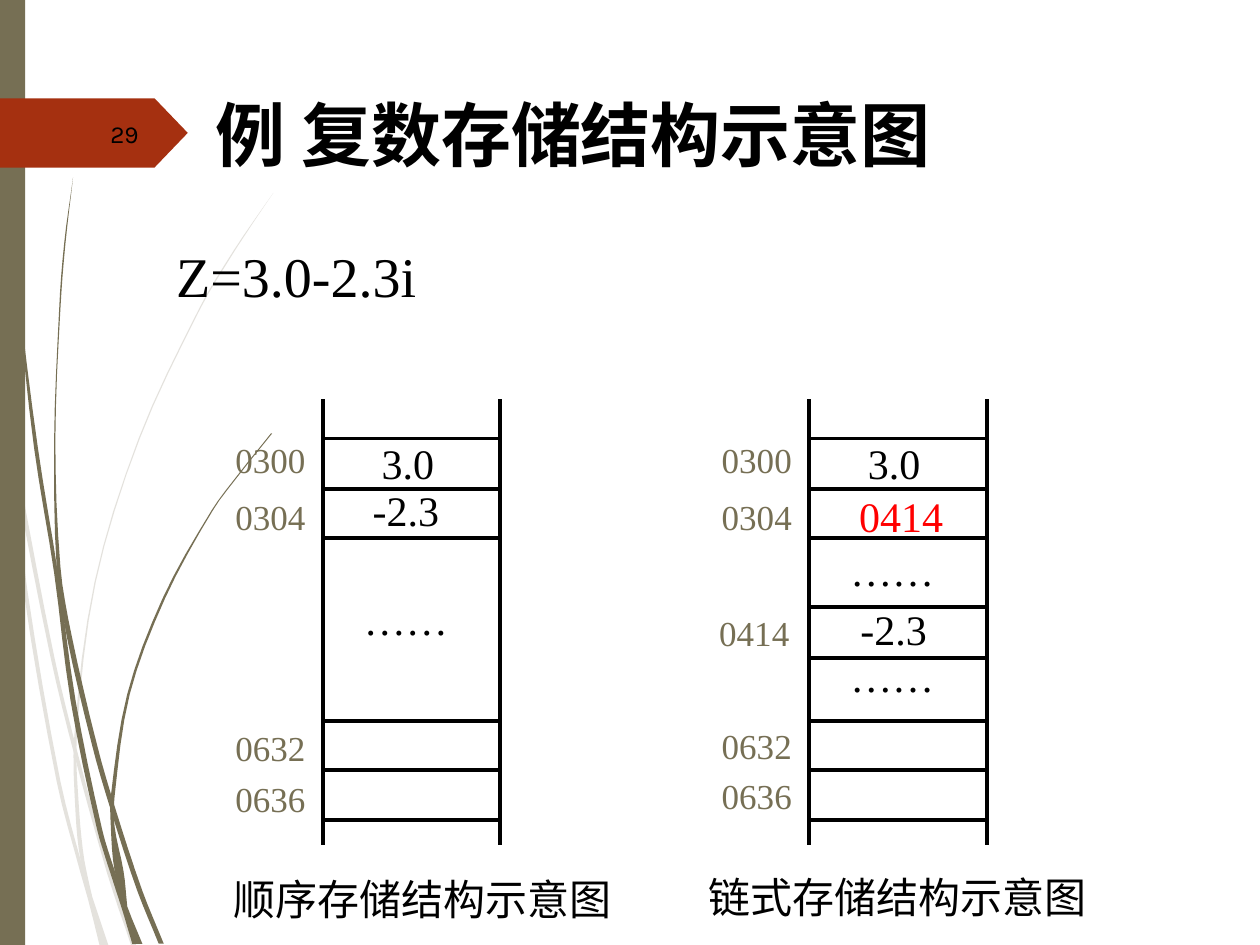
from typing import NamedTuple

from pptx import Presentation
from pptx.dml.color import RGBColor
from pptx.enum.shapes import MSO_CONNECTOR, MSO_SHAPE
from pptx.enum.text import MSO_ANCHOR, MSO_AUTO_SIZE, PP_ALIGN
from pptx.oxml.ns import qn
from pptx.util import Inches, Pt
from lxml.etree import SubElement

COLORS = {"black": "000000", "olive": "766F54", "pale": "E4E2DD",
          "rust": "A53010", "red": "FF0000"}
SERIF = "Times New Roman"
GRID = 1000  # freeform units per inch


class Label(NamedTuple):
    text: str
    left: float
    top: float
    width: float
    size: int = 24
    color: str = "black"
    align: PP_ALIGN = PP_ALIGN.LEFT
    font: str = SERIF


class Wisp(NamedTuple):
    color: str
    rows: list  # (y, left edge, right edge) down the blade


class Memory(NamedTuple):
    left: float
    rules: list
    labels: list


WISPS = [
    Wisp("pale", [(2.82, 0, 0), (3.5, .07, .08), (4.7, .19, .22), (6.2, .45, .48),
                  (6.93, .64, .67), (7.14, .7, .74), (7.5, .79, .86)]),
    Wisp("pale", [(3.45, .1, .1), (3.76, .12, .15), (5.21, .4, .43), (5.99, .59, .62),
                  (6.93, .85, .88), (7.5, 1.04, 1.08)]),
    Wisp("pale", [(1.53, 2.17, 2.17), (1.98, 1.86, 1.87), (2.45, 1.58, 1.59),
                  (3.48, 1.1, 1.11), (4.62, .75, .76), (5.84, .59, .61),
                  (6.46, .6, .63), (6.83, .64, .67), (7.11, .72, .73)]),
    Wisp("olive", [(0, .02, .03), (1.1, .05, .06), (2.33, .14, .15), (3.55, .27, .3),
                   (4.55, .43, .46), (5.56, .56, .6), (6.58, .77, .81),
                   (6.91, .87, .91), (7.22, .97, 1.02), (7.49, 1.05, 1.13)]),
    Wisp("olive", [(1.41, .58, .58), (1.93, .51, .52), (2.45, .47, .48),
                   (3.49, .43, .44), (4.5, .45, .48), (5.05, .53, .57),
                   (5.91, .73, .77), (6.43, .88, .92), (7.07, 1.09, 1.13),
                   (7.49, 1.26, 1.3)]),
    Wisp("olive", [(3.44, 2.15, 2.16), (3.74, 1.91, 1.92), (4.05, 1.68, 1.69),
                   (4.75, 1.29, 1.31), (5.51, 1.01, 1.03), (6.32, .88, .91),
                   (6.56, .88, .91), (6.91, .91, .98), (7.19, 1, 1.01)]),
]


def address(text: str, left: float, top: float, width: float = .94) -> Label:
    return Label(text, left, top, width, 20, "olive")


RULES = [3.48, 3.88, 4.27, 5.72, 6.11, 6.51]
MEMORIES = [
    # Sequential storage
    Memory(2.56, RULES, [
        address("0300", 1.77, 3.43), address("0304", 1.77, 3.88),
        address("0632", 1.77, 5.72), address("0636", 1.77, 6.12, .86),
        Label("3.0", 2.93, 3.42, .71), Label("-2.3", 2.86, 3.8, .79),
        Label("……", 2.79, 4.66, .94),
        Label("顺序存储结构示意图", 1.7, 6.88, 3.31, align=PP_ALIGN.CENTER)]),
    # Linked storage
    Memory(6.42, RULES + [4.82, 5.22], [
        address("0300", 5.63, 3.43), address("0304", 5.63, 3.88),
        address("0414", 5.61, 4.8),
        address("0632", 5.63, 5.7), address("0636", 5.63, 6.1, .86),
        Label("3.0", 6.79, 3.42, .71), Label("0414", 6.72, 3.84, .88, color="red"),
        Label("-2.3", 6.73, 4.74, .79),
        Label("……", 6.65, 4.27, .94), Label("……", 6.65, 5.11, .94),
        Label("链式存储结构示意图", 5.47, 6.87, 3.31, align=PP_ALIGN.CENTER)]),
]


def rgb(name: str) -> RGBColor:
    return RGBColor.from_string(COLORS[name])


def paint(shape, color: str) -> None:
    shape.fill.solid()
    shape.fill.fore_color.rgb = rgb(color)
    shape.line.fill.background()
    shape.shadow.inherit = False


def smooth(knots: list, steps: int = 4) -> list:
    """Grid points (x, y) of a Hermite curve through knots (y, x)."""
    last = len(knots) - 1
    slopes = []
    for i in range(last + 1):
        (y0, x0), (y1, x1) = knots[max(i - 1, 0)], knots[min(i + 1, last)]
        slopes.append((x1 - x0) / (y1 - y0))
    points = []
    for i in range(last):
        (y0, x0), (y1, x1) = knots[i], knots[i + 1]
        gap = y1 - y0
        for step in range(steps):
            t = step / steps
            ease = t * t * (3 - 2 * t)
            bend = t * (1 - t) * ((1 - t) * slopes[i] - t * slopes[i + 1])
            points.append((x0 + (x1 - x0) * ease + gap * bend, y0 + gap * t))
    points.append((knots[last][1], knots[last][0]))
    return [(round(x * GRID), round(y * GRID)) for x, y in points]


def draw_wisp(slide, wisp: Wisp) -> None:
    left = smooth([(y, a) for y, a, b in wisp.rows])
    right = smooth([(y, b) for y, a, b in wisp.rows])
    outline = left + right[::-1]
    pen = slide.shapes.build_freeform(*outline[0], scale=Inches(1) / GRID)
    pen.add_line_segments(outline[1:], close=True)
    paint(pen.convert_to_shape(), wisp.color)


def draw_block(slide, kind: MSO_SHAPE, box: tuple, color: str):
    shape = slide.shapes.add_shape(kind, *map(Inches, box))
    paint(shape, color)
    return shape


def draw_line(slide, x0: float, y0: float, x1: float, y1: float) -> None:
    line = slide.shapes.add_connector(
        MSO_CONNECTOR.STRAIGHT, *map(Inches, (x0, y0, x1, y1)))
    line.line.color.rgb = rgb("black")
    line.line.width = Pt(2.25)
    SubElement(line.element.spPr, qn("a:effectLst"))


def draw_label(slide, label: Label):
    height = label.size / 60 + .1
    box = slide.shapes.add_textbox(
        *map(Inches, (label.left, label.top, label.width, height)))
    frame = box.text_frame
    frame.word_wrap = True
    frame.auto_size = MSO_AUTO_SIZE.SHAPE_TO_FIT_TEXT
    para = frame.paragraphs[0]
    para.text = label.text
    para.alignment = label.align
    para.font.size = Pt(label.size)
    para.font.name = label.font
    para.font.color.rgb = rgb(label.color)
    return box


def draw_memory(slide, memory: Memory) -> None:
    left, right = memory.left, memory.left + 1.41
    for x in (left, right):
        draw_line(slide, x, 3.17, x, 6.71)
    for y in memory.rules:
        draw_line(slide, left, y, right, y)
    for label in memory.labels:
        draw_label(slide, label)


def set_title(slide, text: str) -> None:
    title = slide.shapes.title
    title.left, title.top, title.width, title.height = map(
        Inches, (1.61, .68, 7.2, 1.4))
    frame = title.text_frame
    frame.vertical_anchor = MSO_ANCHOR.TOP
    para = frame.paragraphs[0]
    para.text = text
    para.alignment = PP_ALIGN.LEFT
    para.font.size = Pt(40)
    para.font.bold = True
    para.font.name = "Quicksand"
    para.font.color.rgb = rgb("black")


def main() -> None:
    deck = Presentation()
    deck.slide_width, deck.slide_height = Inches(10), Inches(7.5)
    slide = deck.slides.add_slide(deck.slide_layouts[5])

    # Grass blades, side bar and number tag
    for wisp in WISPS:
        draw_wisp(slide, wisp)
    draw_block(slide, MSO_SHAPE.RECTANGLE, (0, 0, .2, 7.5), "olive")
    tag = draw_block(slide, MSO_SHAPE.PENTAGON, (0, .78, 1.49, .55), "rust")
    tag.adjustments[0] = .48
    number = draw_label(slide, Label("29", .56, .86, .64, 14,
                                     align=PP_ALIGN.RIGHT, font="Karla"))
    number.text_frame.auto_size = MSO_AUTO_SIZE.NONE
    number.text_frame.vertical_anchor = MSO_ANCHOR.MIDDLE
    number.height = Inches(.4)

    # Title and formula
    set_title(slide, "例 复数存储结构示意图")
    draw_label(slide, Label("Z=3.0-2.3i", 1.3, 1.87, 5, 32))

    # Memory diagrams
    for memory in MEMORIES:
        draw_memory(slide, memory)
    deck.save("out.pptx")


if __name__ == "__main__":
    main()
